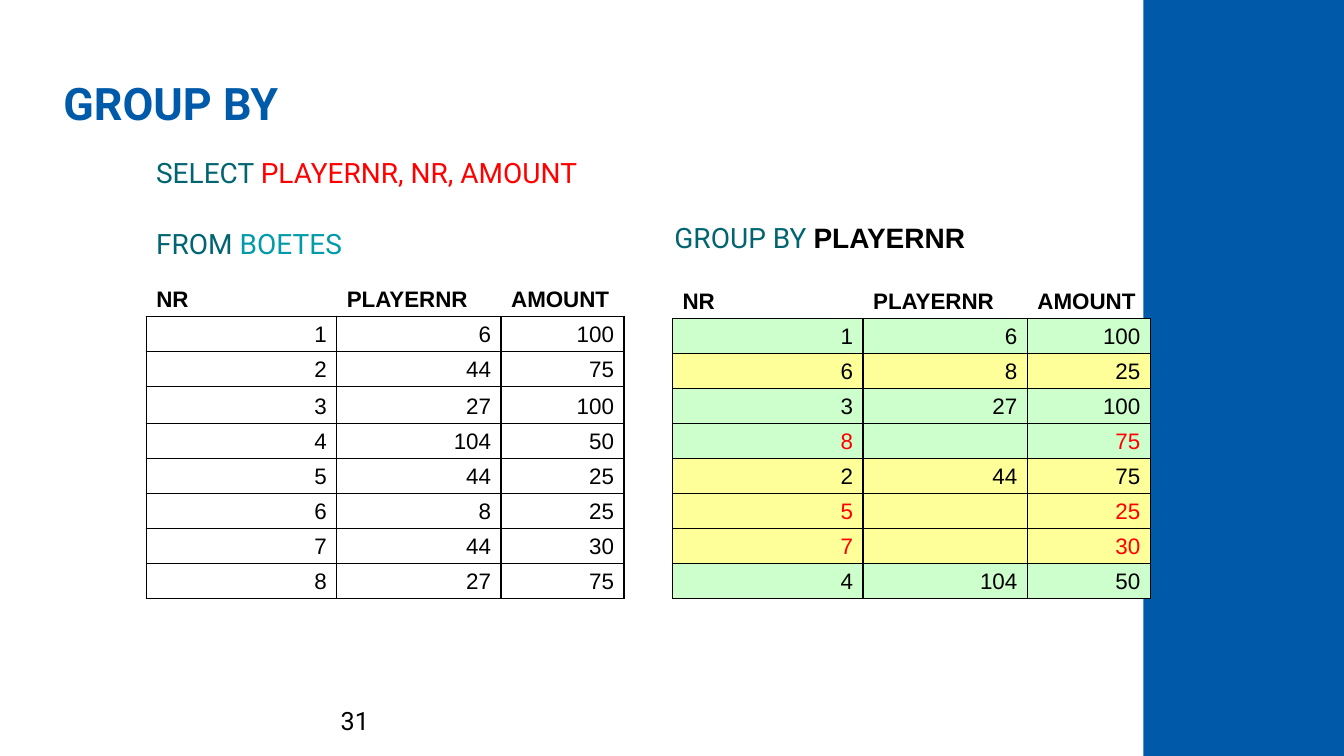
import pptx
import pptx.util
import pptx.dml.color
import pptx.enum.shapes
import pptx.enum.text
import pptx.oxml.ns
import lxml.etree

Inches = pptx.util.Inches
Pt = pptx.util.Pt
RGBColor = pptx.dml.color.RGBColor
Anchor = pptx.enum.text.MSO_ANCHOR
Align = pptx.enum.text.PP_ALIGN
qn = pptx.oxml.ns.qn

BLUE = RGBColor(0x00, 0x5A, 0xAA)
PETROL = RGBColor(0x00, 0x65, 0x70)
TURQUOISE = RGBColor(0x00, 0x9B, 0xAA)
RED = RGBColor(0xFF, 0x00, 0x00)
BLACK = RGBColor(0x00, 0x00, 0x00)
GREEN = RGBColor(0xCC, 0xFF, 0xCC)
YELLOW = RGBColor(0xFF, 0xFF, 0x99)

HEADER = ("NR", "PLAYERNR", "AMOUNT")
COLUMN_WIDTHS = (1.89, 1.63, 1.22)
ROW_HEIGHT = 25 / 72
HANGING_INDENT = Inches(0.38)

FINES = [
    (1, 6, 100), (2, 44, 75), (3, 27, 100), (4, 104, 50),
    (5, 44, 25), (6, 8, 25), (7, 44, 30), (8, 27, 75),
]
GROUPED_FINES = [
    (1, 6, 100), (6, 8, 25), (3, 27, 100), (8, "", 75),
    (2, 44, 75), (5, "", 25), (7, "", 30), (4, 104, 50),
]
GROUP_FILLS = [GREEN, YELLOW, GREEN, GREEN, YELLOW, YELLOW, YELLOW, GREEN]


def format_font(font, size, color, name="Roboto", bold=False):
    font.size = Pt(size)
    font.name = name
    font.bold = bold
    font.color.rgb = color


def add_side_panel(slide):
    panel = slide.shapes.add_shape(
        pptx.enum.shapes.MSO_SHAPE.RECTANGLE,
        Inches(11.34), Inches(0), Inches(1.99), Inches(7.5))
    panel.shadow.inherit = False
    panel.fill.solid()
    panel.fill.fore_color.rgb = BLUE
    panel.line.fill.background()


def add_text(slide, left, top, width, height, parts, size, anchor=Anchor.TOP):
    box = slide.shapes.add_textbox(
        Inches(left), Inches(top), Inches(width), Inches(height))
    box.text_frame.word_wrap = True
    box.text_frame.vertical_anchor = anchor
    paragraph = box.text_frame.paragraphs[0]
    for text, color, name, bold in parts:
        run = paragraph.add_run()
        run.text = text
        format_font(run.font, size, color, name, bold)
    return paragraph


def set_borders(cell, visible_sides):
    properties = cell._tc.get_or_add_tcPr()
    for side in "LRTB":
        line = lxml.etree.SubElement(properties, qn("a:ln" + side), w=str(Pt(1)))
        if side in visible_sides:
            fill = lxml.etree.SubElement(line, qn("a:solidFill"))
            lxml.etree.SubElement(fill, qn("a:srgbClr"), val=str(BLACK))
        else:
            lxml.etree.SubElement(line, qn("a:noFill"))


def fill_cell(cell, text, color, fill, is_header):
    set_borders(cell, "B" if is_header else "LRTB")
    if fill is None:
        cell.fill.background()
    else:
        cell.fill.solid()
        cell.fill.fore_color.rgb = fill
    cell.vertical_anchor = Anchor.BOTTOM
    cell.margin_top = cell.margin_bottom = Inches(0.04)
    paragraph = cell.text_frame.paragraphs[0]
    paragraph.text = str(text)
    paragraph.alignment = Align.LEFT if is_header else Align.RIGHT
    paragraph_properties = paragraph._p.get_or_add_pPr()
    paragraph_properties.set("marL", str(HANGING_INDENT))
    paragraph_properties.set("indent", str(-HANGING_INDENT))
    for run in paragraph.runs:
        format_font(run.font, 16, color, "Arial", is_header)
    if not paragraph.runs:
        lxml.etree.SubElement(paragraph._p, qn("a:endParaRPr"), sz="1600")


def add_fines_table(slide, left, top, rows, heights, fills):
    frame = slide.shapes.add_table(
        len(rows) + 1, len(HEADER), Inches(left), Inches(top),
        Inches(sum(COLUMN_WIDTHS)), Inches(sum(heights)))
    table = frame.table
    table.first_row = False
    table.horz_banding = False
    for column, width in zip(table.columns, COLUMN_WIDTHS):
        column.width = Inches(width)
    for row, height in zip(table.rows, heights):
        row.height = Inches(height)
    for column_index, title in enumerate(HEADER):
        fill_cell(table.cell(0, column_index), title, BLACK, None, True)
    for row_index, (values, fill) in enumerate(zip(rows, fills), start=1):
        color = RED if "" in values else BLACK
        for column_index, value in enumerate(values):
            fill_cell(table.cell(row_index, column_index), value, color, fill, False)


def main():
    presentation = pptx.Presentation()
    presentation.slide_width = Inches(13.33)
    presentation.slide_height = Inches(7.5)
    slide = presentation.slides.add_slide(presentation.slide_layouts[6])

    add_side_panel(slide)
    title = add_text(slide, 0.53, 0.69, 8.58, 0.72,
                     [("GROUP BY", BLUE, "Roboto", True)], 32, Anchor.MIDDLE)
    title.line_spacing = 0.9

    add_fines_table(slide, 6.67, 2.67, GROUPED_FINES,
                    [0.49] + [ROW_HEIGHT] * 8, GROUP_FILLS)
    add_fines_table(slide, 1.45, 2.79, FINES,
                    [ROW_HEIGHT] * 3 + [0.37] + [ROW_HEIGHT] * 5, [None] * 8)

    add_text(slide, 3.28, 6.95, 5.59, 0.4, [("31", BLACK, "Roboto", False)], 18)
    add_text(slide, 1.45, 2.2, 3.65, 0.43,
             [("FROM ", PETROL, "Roboto", False),
              ("BOETES", TURQUOISE, "Roboto", False)], 20)
    add_text(slide, 6.59, 2.14, 3.65, 0.43,
             [("GROUP BY ", PETROL, "Roboto", False),
              ("PLAYERNR", BLACK, "Arial", True)], 20)
    add_text(slide, 1.45, 1.49, 5.59, 0.44,
             [("SELECT ", PETROL, "Roboto", False),
              ("PLAYERNR, NR, AMOUNT", RED, "Roboto", False)], 20)

    presentation.save("out.pptx")


if __name__ == "__main__":
    main()
